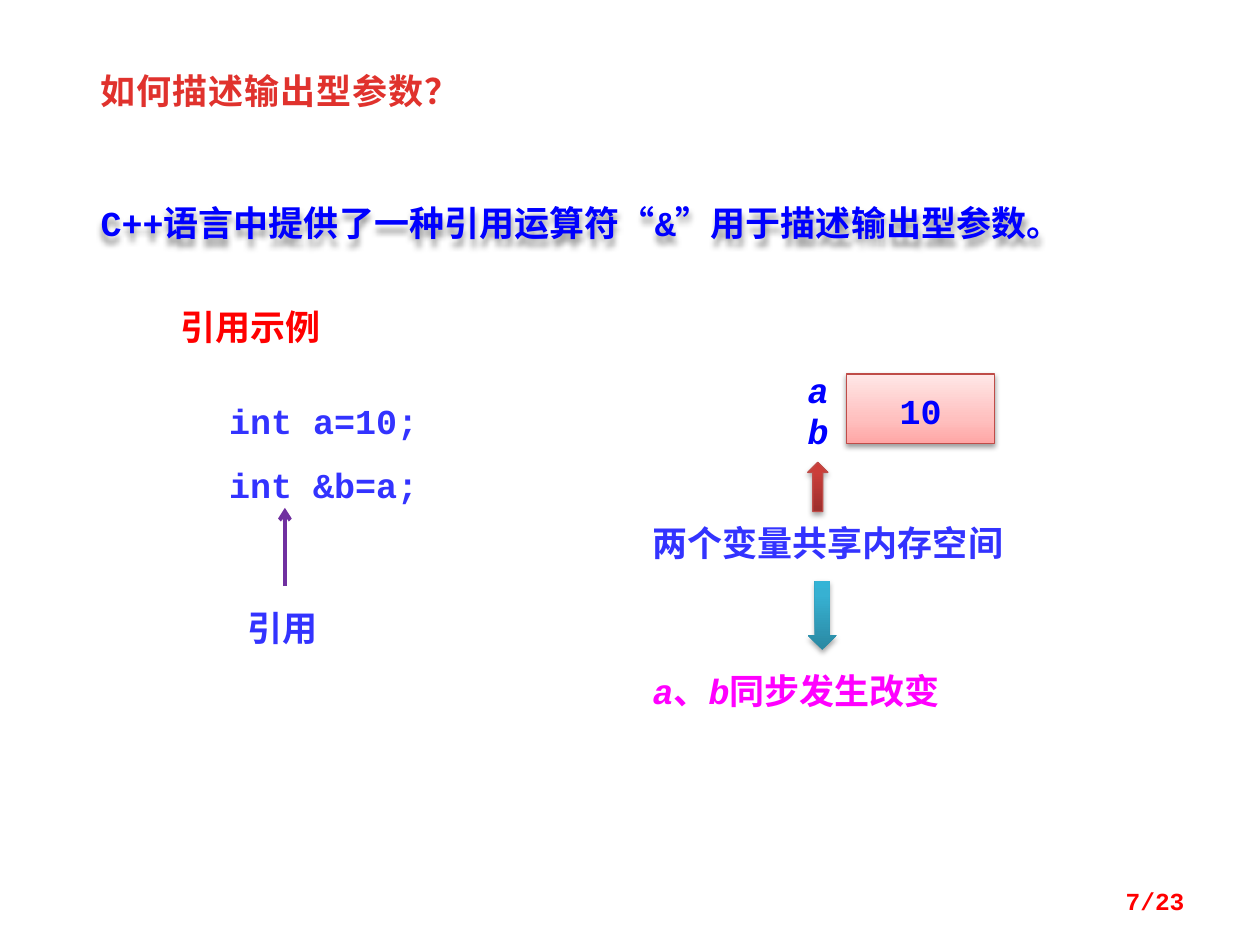
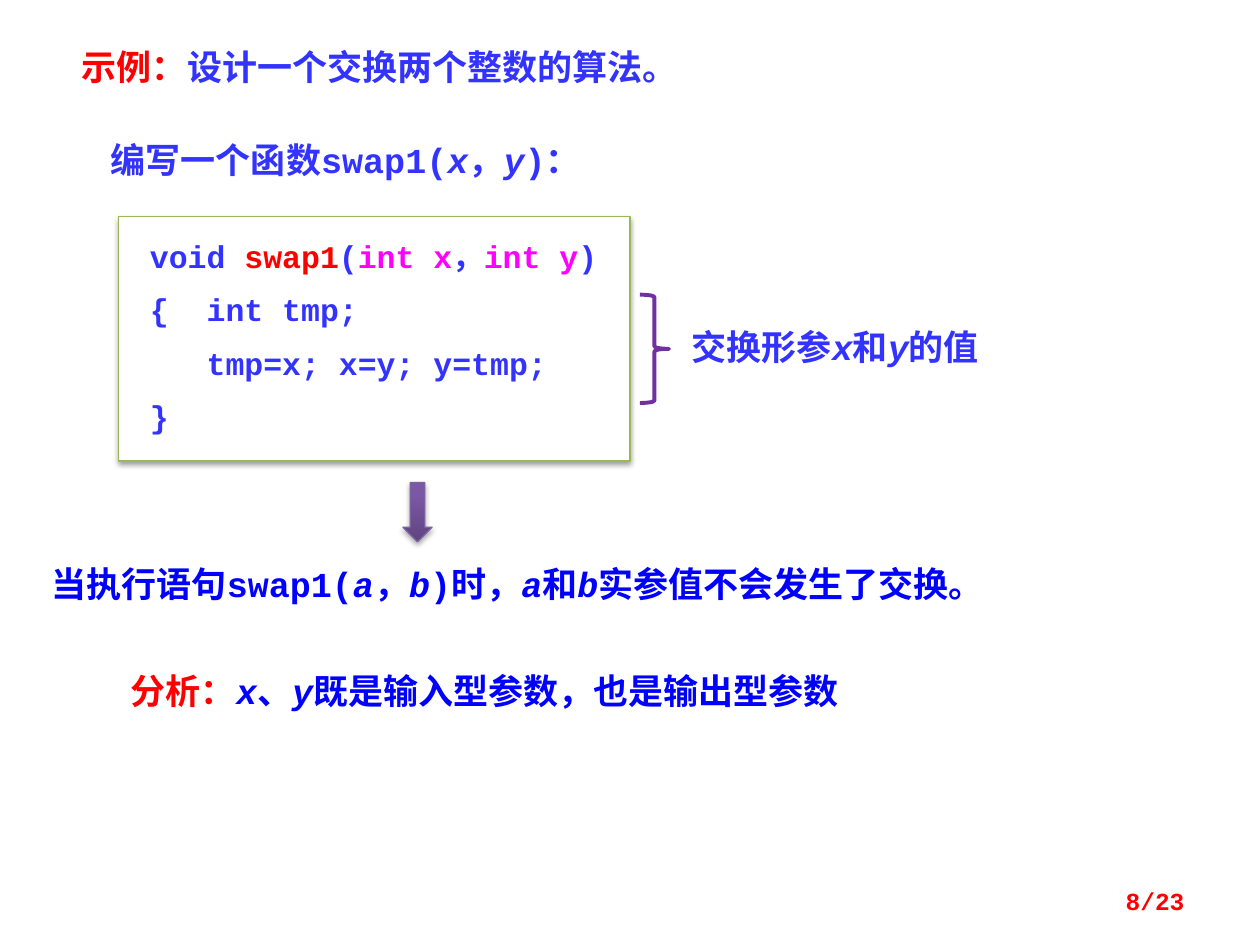
import pptx
import pptx.chart.data
import pptx.dml.color
import pptx.enum.dml
import pptx.enum.shapes
import pptx.enum.text
import pptx.oxml
import pptx.oxml.ns
import pptx.util
from lxml import etree

Pt = pptx.util.Pt
SHAPES = pptx.enum.shapes.MSO_SHAPE
ALIGN = pptx.enum.text.PP_ALIGN
ANCHOR = pptx.enum.text.MSO_ANCHOR
AUTO_SIZE = pptx.enum.text.MSO_AUTO_SIZE
qn = pptx.oxml.ns.qn

# Shared style
CODE_FONT, CHINESE_FONT = "Courier New", "Noto Sans CJK SC"
RED, BLUE, INDIGO, MAGENTA = "FF0000", "0000FF", "3333FF", "FF00FF"
TITLE_RED, PURPLE = "E0322D", "7030A0"
INSETS = (7.2, 3.6, 7.2, 3.6)
PAGE_COUNT = 23


def color(hex_string):
    return pptx.dml.color.RGBColor.from_string(hex_string)


def child(parent, tag, **attributes):
    return etree.SubElement(parent, qn(tag), {k: str(v) for k, v in attributes.items()})


# Text helpers: a paragraph is a list of (text, color[, italic]) runs
def add_run(paragraph, text, hex_string, italic=False, size=20, font=CODE_FONT):
    run = paragraph.add_run()
    run.text = text
    run.font.name, run.font.size = font, Pt(size)
    run.font.bold, run.font.italic = True, italic
    run.font.color.rgb = color(hex_string)
    properties = run.font._element
    properties.find(qn("a:latin")).addnext(
        properties.makeelement(qn("a:ea"), {"typeface": CHINESE_FONT}))
    return run


def fill_text(shape, paragraphs, size=20, font=CODE_FONT, line_spacing=1.1,
              space_before=50, align=ALIGN.LEFT, anchor=ANCHOR.TOP,
              insets=INSETS, grow=True):
    frame = shape.text_frame
    frame.word_wrap = True
    frame.auto_size = AUTO_SIZE.SHAPE_TO_FIT_TEXT if grow else AUTO_SIZE.NONE
    frame.vertical_anchor = anchor
    (frame.margin_left, frame.margin_top,
     frame.margin_right, frame.margin_bottom) = [Pt(inset) for inset in insets]
    for index, runs in enumerate(paragraphs):
        paragraph = frame.paragraphs[0] if index == 0 else frame.add_paragraph()
        paragraph.alignment = align
        paragraph.line_spacing = line_spacing
        if space_before:
            spacing = child(paragraph._p.get_or_add_pPr(), "a:spcBef")
            child(spacing, "a:spcPct", val=space_before * 1000)
        for run in runs:
            add_run(paragraph, *run, size=size, font=font)
    return shape


def add_text(slide, box, paragraphs, **options):
    shape = slide.shapes.add_textbox(*[Pt(length) for length in box])
    return fill_text(shape, paragraphs, **options)


def set_title(slide, box, runs, **options):
    title = slide.shapes.title
    title.left, title.top, title.width, title.height = [Pt(length) for length in box]
    return fill_text(title, [runs], **options)


# Shape helpers
def add_shadow(shape, opacity, distance):
    shape.shadow.inherit = False
    effects = shape._element.spPr.find(qn("a:effectLst"))
    shadow = child(effects, "a:outerShdw", blurRad=Pt(3.1), dist=Pt(distance),
                   dir=5400000, rotWithShape=0)
    black = child(shadow, "a:srgbClr", val="000000")
    child(black, "a:alpha", val=opacity * 1000)


def fill_upward(shape, stops):
    shape.fill.gradient()
    shape.fill.gradient_angle = 90
    stop_list = shape._element.spPr.find(".//" + qn("a:gsLst"))
    for stop in list(stop_list):
        stop_list.remove(stop)
    for position, hex_string in stops:
        stop = child(stop_list, "a:gs", pos=position * 1000)
        child(stop, "a:srgbClr", val=hex_string)


def add_shape(slide, kind, box, line=None, line_width=0.75):
    shape = slide.shapes.add_shape(kind, *[Pt(length) for length in box])
    shape.shadow.inherit = False
    if line:
        shape.line.color.rgb = color(line)
        shape.line.width = Pt(line_width)
    else:
        shape.line.fill.background()
    return shape


def add_block_arrow(slide, kind, box, shades, line=None):
    arrow = add_shape(slide, kind, box, line)
    fill_upward(arrow, zip((0, 80, 100), shades))
    add_shadow(arrow, 35, 1.8)


def add_pointer(slide, start, end):
    pointer = slide.shapes.add_connector(
        pptx.enum.shapes.MSO_CONNECTOR.STRAIGHT,
        *[Pt(length) for length in start + end])
    pointer.line.color.rgb = color(PURPLE)
    pointer.line.width = Pt(2.25)
    child(pointer.line._get_or_add_ln(), "a:tailEnd", type="arrow")
    child(pointer._element.spPr, "a:effectLst")


def add_page_number(slide, number):
    add_text(slide, (516, 500.4, 168, 28.8), [[(f"{number}/{PAGE_COUNT}", RED)]],
             size=14, line_spacing=None, space_before=None, align=ALIGN.RIGHT,
             anchor=ANCHOR.MIDDLE, grow=False)


# Regions of the reference slide
def add_reference_code(slide, left, top):
    add_text(slide, (left, top, 140.4, 72.7),
             [[("int a=10;", INDIGO)], [("int &b=a;", INDIGO)]])
    add_pointer(slide, (left + 39, top + 112.5), (left + 39, top + 67.7))
    add_text(slide, (left + 10.8, top + 118, 62, 33.8), [[("引用", INDIGO)]])


def add_memory_diagram(slide, left, top):
    center = left + 95.8
    for row, name in enumerate("ab"):
        add_text(slide, (center, top + 23.8 * row, 16.6, 25.2),
                 [[(name, BLUE, True)]], insets=(0, 0, 0, 0))
    cell = add_shape(slide, SHAPES.RECTANGLE, (left + 118, top + 5.8, 84.5, 39.6), "BF4C48")
    fill_upward(cell, ((0, "FFA6A5"), (35, "FFC0BF"), (100, "FFE7E7")))
    add_shadow(cell, 38, 1.6)
    fill_text(cell, [[("10", BLUE)]], align=ALIGN.CENTER,
              anchor=ANCHOR.MIDDLE, grow=False)
    add_block_arrow(slide, SHAPES.UP_ARROW, (center, top + 56.2, 11.5, 28.1),
                    ("9C2F2D", "CB3E3A", "CE3B37"), "BF4C48")
    add_text(slide, (left, top + 84.2, 253.4, 32.4),
             [[("两个变量共享内存空间", INDIGO)]], font=CHINESE_FONT)
    add_block_arrow(slide, SHAPES.DOWN_ARROW, (center, top + 123.8, 16.6, 39.6),
                    ("2A88A2", "37B1D2", "34B4D6"))
    add_text(slide, (left, top + 168.5, 213.8, 32.4),
             [[("a", MAGENTA, True), ("、", MAGENTA), ("b", MAGENTA, True),
               ("同步发生改变", MAGENTA)]])


def build_reference_slide(slide):
    title = set_title(slide, (50.4, 33.8, 292.3, 33.8), [("如何描述输出型参数？", TITLE_RED)])
    title.text_frame.paragraphs[0].runs[0].font._element.set("spc", "50")
    statement = add_text(slide, (50.4, 109.4, 641.5, 32.4),
                         [[("C++语言中提供了一种引用运算符“&”用于描述输出型参数。", BLUE)]])
    add_shadow(statement, 38, 3)
    add_text(slide, (95.8, 168.5, 123.8, 31), [[("引用示例", RED)]], font=CHINESE_FONT)
    add_reference_code(slide, 123.8, 222.5)
    add_memory_diagram(slide, 365.8, 208)


# Regions of the swap slide
def add_swap_code(slide, left, top):
    box = add_shape(slide, SHAPES.RECTANGLE, (left, top, 292.3, 139.7), "98B955")
    box.fill.solid()
    box.fill.fore_color.rgb = color("FFFFFF")
    add_shadow(box, 38, 1.6)
    fill_text(box, [
        [("void ", INDIGO), ("swap1", RED), ("(", INDIGO), ("int x", MAGENTA),
         ("，", INDIGO), ("int y", MAGENTA), (")", INDIGO)],
        [("{\tint tmp;", INDIGO)],
        [("tmp=x; x=y; y=tmp;", INDIGO)],
        [("}", INDIGO)],
    ], size=18, line_spacing=None, insets=(18, 11.5, 7.2, 8.6))
    # The body of the function stands three characters in
    body_indent = Pt(32.4)
    opening, statement = box.text_frame.paragraphs[1:3]
    for paragraph, first_line in ((opening, -body_indent), (statement, 0)):
        properties = paragraph._p.get_or_add_pPr()
        properties.set("marL", str(body_indent))
        properties.set("indent", str(first_line))

    brace = add_shape(slide, SHAPES.RIGHT_BRACE, (left + 298, top + 44.6, 16.6, 61.9),
                      PURPLE, 2.25)
    brace.fill.background()
    add_text(slide, (left + 320.4, top + 56.2, 191.5, 33.8),
             [[("交换形参", INDIGO), ("x", INDIGO, True), ("和", INDIGO),
               ("y", INDIGO, True), ("的值", INDIGO)]])


def add_swap_result(slide, left, top):
    add_block_arrow(slide, SHAPES.DOWN_ARROW, (left + 208, top - 39.6, 16.6, 33.8),
                    ("5F4480", "7B58A6", "7C57A8"), "7D60A0")
    add_text(slide, (left, top, 607.7, 32.4),
             [[("当执行语句swap1(", BLUE), ("a", BLUE, True), ("，", BLUE),
               ("b", BLUE, True), (")时，", BLUE), ("a", BLUE, True), ("和", BLUE),
               ("b", BLUE, True), ("实参值不会发生了交换。", BLUE)]])
    add_text(slide, (left + 45.4, top + 61.2, 551.5, 32.4),
             [[("分析：", RED), ("x", BLUE, True), ("、", BLUE), ("y", BLUE, True),
               ("既是输入型参数，也是输出型参数", BLUE)]])


def build_swap_slide(slide):
    set_title(slide, (39.6, 22.3, 556.6, 31.7),
              [("示例：", RED), ("设计一个交换两个整数的算法。", INDIGO)],
              font=CHINESE_FONT, line_spacing=None)
    add_text(slide, (56.2, 73.4, 354.2, 32.4),
             [[("编写一个函数swap1(", INDIGO), ("x", INDIGO, True), ("，", INDIGO),
               ("y", INDIGO, True), (")：", INDIGO)]])
    add_swap_code(slide, 67.7, 123.8)
    add_swap_result(slide, 22.3, 315.4)


# Presentation
presentation = pptx.Presentation()
presentation.slide_width, presentation.slide_height = Pt(720), Pt(540)
title_only = presentation.slide_layouts[5]
for page, build in enumerate((build_reference_slide, build_swap_slide), start=7):
    slide = presentation.slides.add_slide(title_only)
    build(slide)
    add_page_number(slide, page)
presentation.save("out.pptx")
